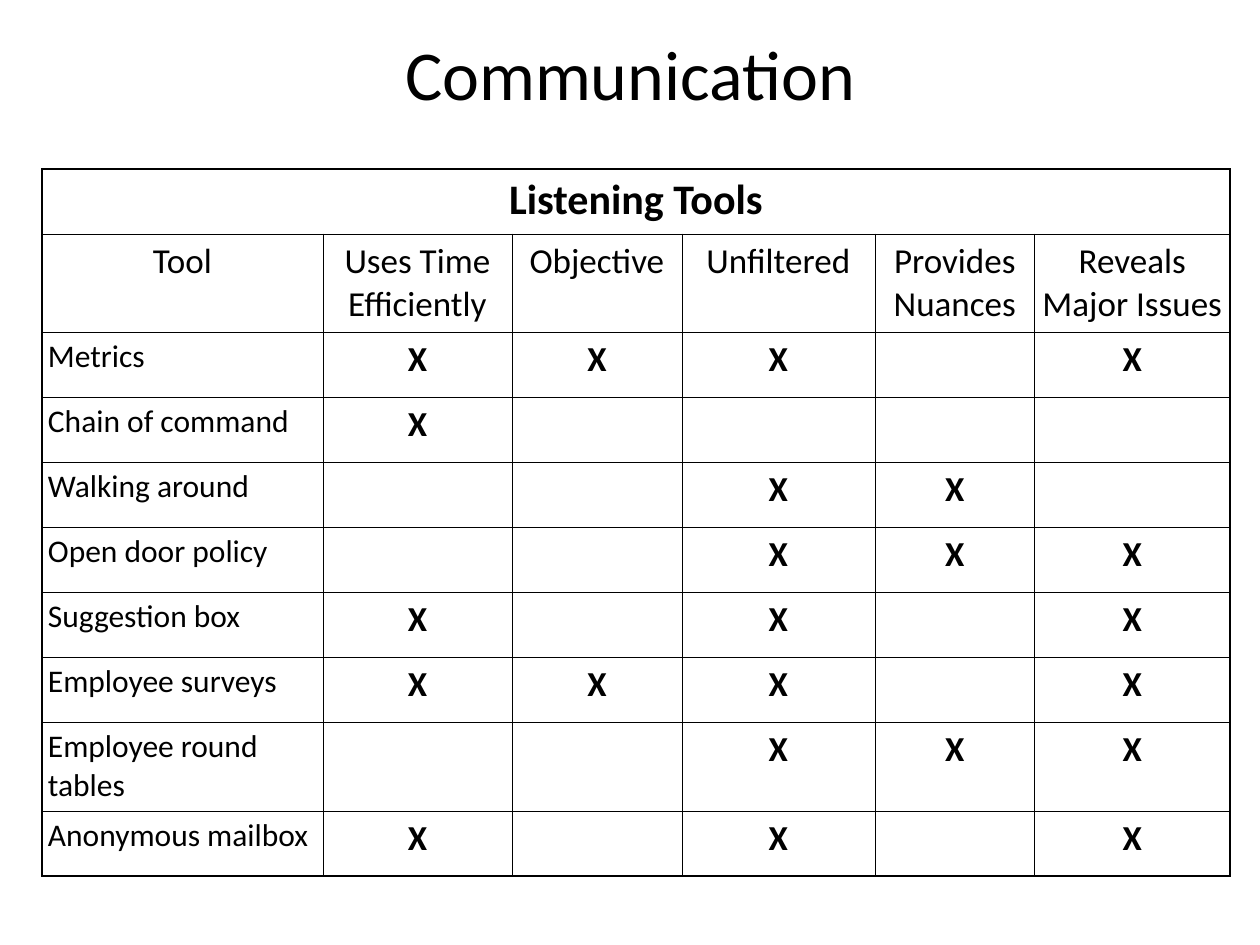
"""Build the Communication slide with its table of listening tools."""
import pptx
import pptx.dml.color
import pptx.enum.text
import pptx.oxml
import pptx.oxml.ns
import pptx.util

PX = 914400 // 126
COLORS = {"ink": "000000", "paper": "FFFFFF"}
FONT = "Calibri"
ALIGN = pptx.enum.text.PP_ALIGN
THIN, THICK = 0.45, 1.08

COLUMN_WIDTHS = [281, 189, 170, 193, 160, 195]
ROW_HEIGHTS = [65, 98] + [65] * 6 + [89, 65]
HEADINGS = ["Tool", "Uses Time Efficiently", "Objective", "Unfiltered",
            "Provides Nuances", "Reveals Major Issues"]
TOOLS = {
    "Metrics": [1, 2, 3, 5],
    "Chain of command": [1],
    "Walking around": [3, 4],
    "Open door policy": [3, 4, 5],
    "Suggestion box": [1, 3, 5],
    "Employee surveys": [1, 2, 3, 5],
    "Employee round tables": [3, 4, 5],
    "Anonymous mailbox": [1, 3, 5],
}
STYLES = {
    "title": {"size": 40, "bold": False, "align": ALIGN.CENTER, "before": 0},
    "banner": {"size": 24, "bold": True, "align": ALIGN.CENTER, "before": 6},
    "heading": {"size": 20, "bold": False, "align": ALIGN.CENTER, "before": 5},
    "tool": {"size": 18, "bold": False, "align": ALIGN.LEFT, "before": 4.5},
    "mark": {"size": 20, "bold": True, "align": ALIGN.CENTER, "before": 5},
}


def write(frame, text, style):
    para = frame.paragraphs[0]
    para.alignment = style["align"]
    para.space_before = pptx.util.Pt(style["before"])
    span = para.add_run()
    span.text = text
    formats = {"name": FONT, "size": pptx.util.Pt(style["size"]), "bold": style["bold"]}
    for name, value in formats.items():
        setattr(span.font, name, value)
    span.font.color.rgb = pptx.dml.color.RGBColor.from_string(COLORS["ink"])


def add_border(cell, side, points):
    cell._tc.get_or_add_tcPr().append(pptx.oxml.parse_xml(
        f'<a:ln{side} {pptx.oxml.ns.nsdecls("a")} w="{round(points * 12700)}">'
        f'<a:solidFill><a:srgbClr val="{COLORS["ink"]}"/></a:solidFill></a:ln{side}>'))


deck = pptx.Presentation()
deck.slide_width, deck.slide_height = 1260 * PX, 945 * PX
page = deck.slides.add_slide(deck.slide_layouts[5])

title = page.shapes.title
title_place = {"left": 63, "top": 38, "width": 1134, "height": 68}
for name, value in title_place.items():
    setattr(title, name, value * PX)
title.text_frame.vertical_anchor = pptx.enum.text.MSO_ANCHOR.MIDDLE
write(title.text_frame, "Communication", STYLES["title"])

rows = [["Listening Tools"] + [""] * 5, HEADINGS]
for tool, marked in TOOLS.items():
    rows.append([tool] + ["X" if column in marked else "" for column in range(1, 6)])

last_row, last_column = len(ROW_HEIGHTS) - 1, len(COLUMN_WIDTHS) - 1
table = page.shapes.add_table(
    len(ROW_HEIGHTS), len(COLUMN_WIDTHS), 42 * PX, 169 * PX,
    sum(COLUMN_WIDTHS) * PX, sum(ROW_HEIGHTS) * PX).table
table.first_row = table.horz_banding = False
for column, width in enumerate(COLUMN_WIDTHS):
    table.columns[column].width = width * PX
for row, height in enumerate(ROW_HEIGHTS):
    table.rows[row].height = height * PX
table.cell(0, 0).merge(table.cell(0, last_column))

for row, texts in enumerate(rows):
    for column, text in enumerate(texts):
        cell = table.cell(row, column)
        outer_sides = {"L": column == 0, "R": column == last_column or row == 0,
                       "T": row == 0, "B": row == last_row}
        for side, is_outer in outer_sides.items():
            add_border(cell, side, THICK if is_outer else THIN)
        cell.fill.solid()
        cell.fill.fore_color.rgb = pptx.dml.color.RGBColor.from_string(COLORS["paper"])
        for margin in ("margin_left", "margin_top", "margin_right", "margin_bottom"):
            setattr(cell, margin, 6 * PX)
        if text:
            kind = ("banner" if row == 0 else "heading" if row == 1
                    else "tool" if column == 0 else "mark")
            write(cell.text_frame, text, STYLES[kind])

deck.save("out.pptx")
